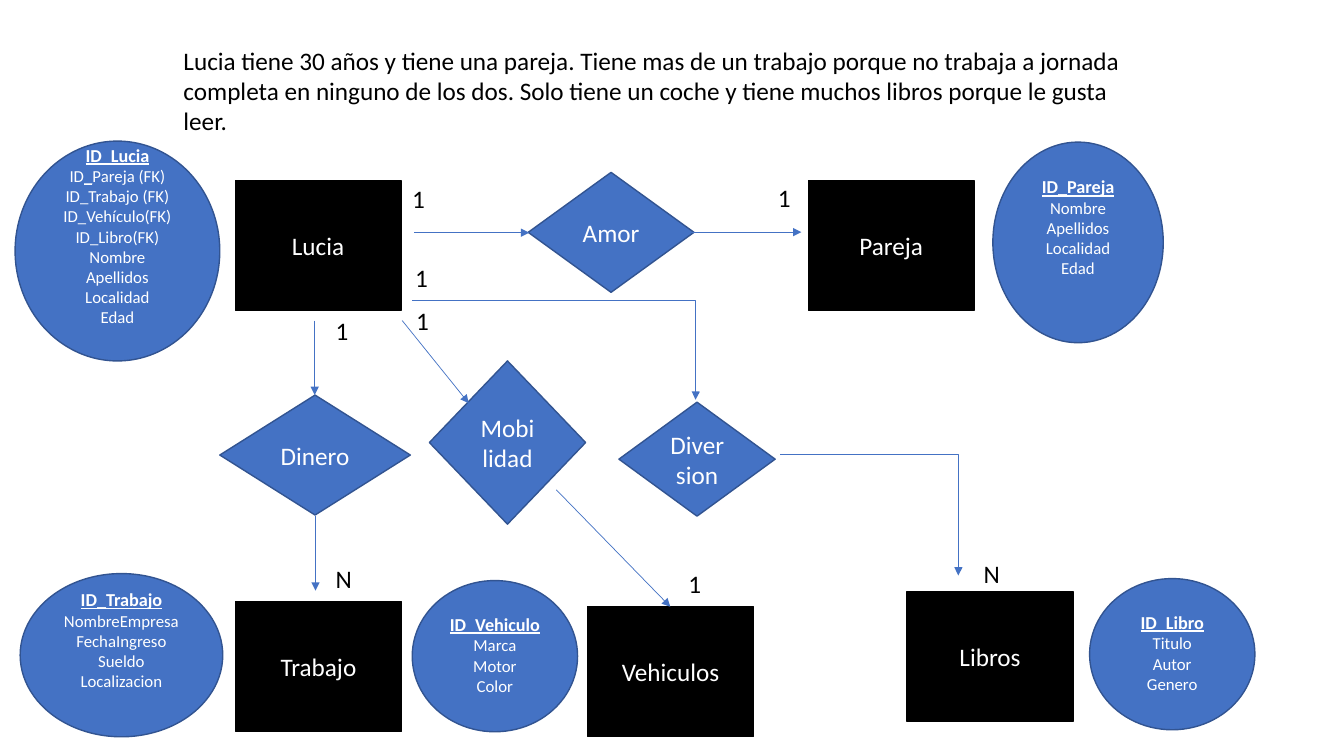
from lxml.etree import SubElement
from pptx import Presentation
from pptx.dml.color import RGBColor
from pptx.enum.shapes import MSO_CONNECTOR, MSO_SHAPE
from pptx.enum.text import MSO_ANCHOR, PP_ALIGN
from pptx.oxml.ns import qn
from pptx.util import Pt

BLUE, EDGE, BLACK, WHITE = "4472C4", "325491", "000000", "FFFFFF"


def rgb(value):
    return RGBColor.from_string(value)


def add_run(p, text, color, **formats):
    r = p.add_run()
    r.text = text
    r.font.color.rgb = rgb(color)
    for name, value in ({"name": "Calibri", "size": Pt(18)} | formats).items():
        setattr(r.font, name, value)


prs = Presentation()
prs.slide_width, prs.slide_height = Pt(960), Pt(540)
slide = prs.slides.add_slide(prs.slide_layouts[6])
shapes = slide.shapes

# Statement and cardinalities: text, left, top, width, height
statement = ("Lucia tiene 30 años y tiene una pareja. Tiene mas de un trabajo porque no "
             "trabaja a jornada completa en ninguno de los dos. Solo tiene un coche y "
             "tiene muchos libros porque le gusta leer.")
labels = [(statement, 124, 28.8, 700, 72.7)]
labels += [(text, x, y, 24, 29) for text, x, y in [
    ("1", 287.3, 127.4), ("1", 548.6, 126.7), ("1", 232.6, 221.8), ("1", 290.2, 214.6),
    ("1", 289.4, 183.6), ("N", 232.6, 398.9), ("1", 484.6, 402.5), ("N", 695.5, 395.3)]]
for text, *box in labels:
    tf = shapes.add_textbox(*map(Pt, box)).text_frame
    tf.word_wrap = text == statement
    add_run(tf.paragraphs[0], text, BLACK)

# Entities and relationships: text, left, top, width, height
entities = [(text, x, y, 118.4, 92.9) for text, x, y in [
    ("Lucia", 168, 128.9), ("Pareja", 577.4, 128.9), ("Trabajo", 168.3, 429.8),
    ("Vehiculos", 419.8, 433.4), ("Libros", 648, 422.6)]]
relationships = [
    ("Amor", 377.3, 123.1, 118.4, 85.7), ("Dinero", 157, 282.2, 136.1, 85.7),
    ("Mobilidad", 306.7, 257.8, 111.6, 116.6), ("Diversion", 442.1, 287.3, 111.6, 81.4)]

# Attributes: key, fields (| surrounds underlined parts), bottom inset, box
attributes = [
    ("ID_Pareja", ["Nombre", "Apellidos", "Localidad", "Edad"], 25.6,
     (709.2, 101.5, 121.7, 143.3)),
    ("ID_Lucia", ["ID|_|Pareja (FK)", "ID_Trabajo (FK)", "ID_Vehículo(FK)", "ID_Libro(FK)",
                  "Nombre", "Apellidos", "Localidad", "Edad"], 25.6,
     (10.8, 100.8, 146.2, 157)),
    ("ID_Trabajo", ["NombreEmpresa", "FechaIngreso", "Sueldo", "Localizacion"], 25.6,
     (14.4, 409.7, 144.7, 116.6)),
    ("ID_Vehiculo", ["Marca", "Motor", "Color"], 6, (294.5, 414.7, 118.1, 108)),
    ("ID_Libro", ["Titulo", "Autor", "Genero"], 6, (778.3, 413.3, 118.1, 108)),
]

nodes = [(MSO_SHAPE.RECTANGLE, BLACK, BLACK, text, [], 3.6, box) for text, *box in entities]
nodes += [(MSO_SHAPE.DIAMOND, BLUE, EDGE, text, [], 3.6, box) for text, *box in relationships]
nodes += [(MSO_SHAPE.OVAL, BLUE, EDGE, *row) for row in attributes]
for kind, fill, line, text, fields, inset, box in nodes:
    sp = shapes.add_shape(kind, *map(Pt, box))
    sp.shadow.inherit = False
    sp.fill.solid()
    sp.fill.fore_color.rgb = rgb(fill)
    sp.line.color.rgb = rgb(line)
    sp.line.width = Pt(1)
    tf = sp.text_frame
    tf.word_wrap = True
    tf.vertical_anchor = MSO_ANCHOR.MIDDLE
    tf.margin_bottom = Pt(inset)
    p = tf.paragraphs[0]
    p.alignment = PP_ALIGN.CENTER
    key = {"size": Pt(13), "bold": True, "underline": True} if fields else {}
    add_run(p, text, WHITE, **key)
    for field in fields:
        p = tf.add_paragraph()
        p.alignment = PP_ALIGN.CENTER
        for i, part in enumerate(field.split("|")):
            add_run(p, part, WHITE, size=Pt(12), underline=i % 2 == 1)

# Arrows: kind, start x, start y, end x, end y
STRAIGHT, ELBOW = MSO_CONNECTOR.STRAIGHT, MSO_CONNECTOR.ELBOW
arrows = [
    (STRAIGHT, 296, 166.2, 378, 166.2), (STRAIGHT, 489.6, 165.8, 572.4, 165.8),
    (STRAIGHT, 224.8, 229, 224.8, 282.2), (STRAIGHT, 225.4, 368.6, 225.4, 421.9),
    (STRAIGHT, 287.3, 229, 334.8, 288), (STRAIGHT, 397.4, 349.9, 478.8, 433.4),
    (ELBOW, 294.5, 214.6, 496.8, 285.5), (ELBOW, 557.3, 324.7, 684.5, 411.1)]
for kind, *ends in arrows:
    cx = shapes.add_connector(kind, *map(Pt, ends))
    cx.line.color.rgb = rgb(BLUE)
    cx.line.width = Pt(0.5)
    SubElement(cx.line._get_or_add_ln(), qn("a:tailEnd"), type="triangle")
    spPr = cx._element.spPr
    SubElement(spPr, qn("a:effectLst"))
    if kind == ELBOW:
        # Turn at the far end
        guides = spPr.find(qn("a:prstGeom")).find(qn("a:avLst"))
        SubElement(guides, qn("a:gd"), name="adj1", fmla="val 100100")

prs.save("out.pptx")
